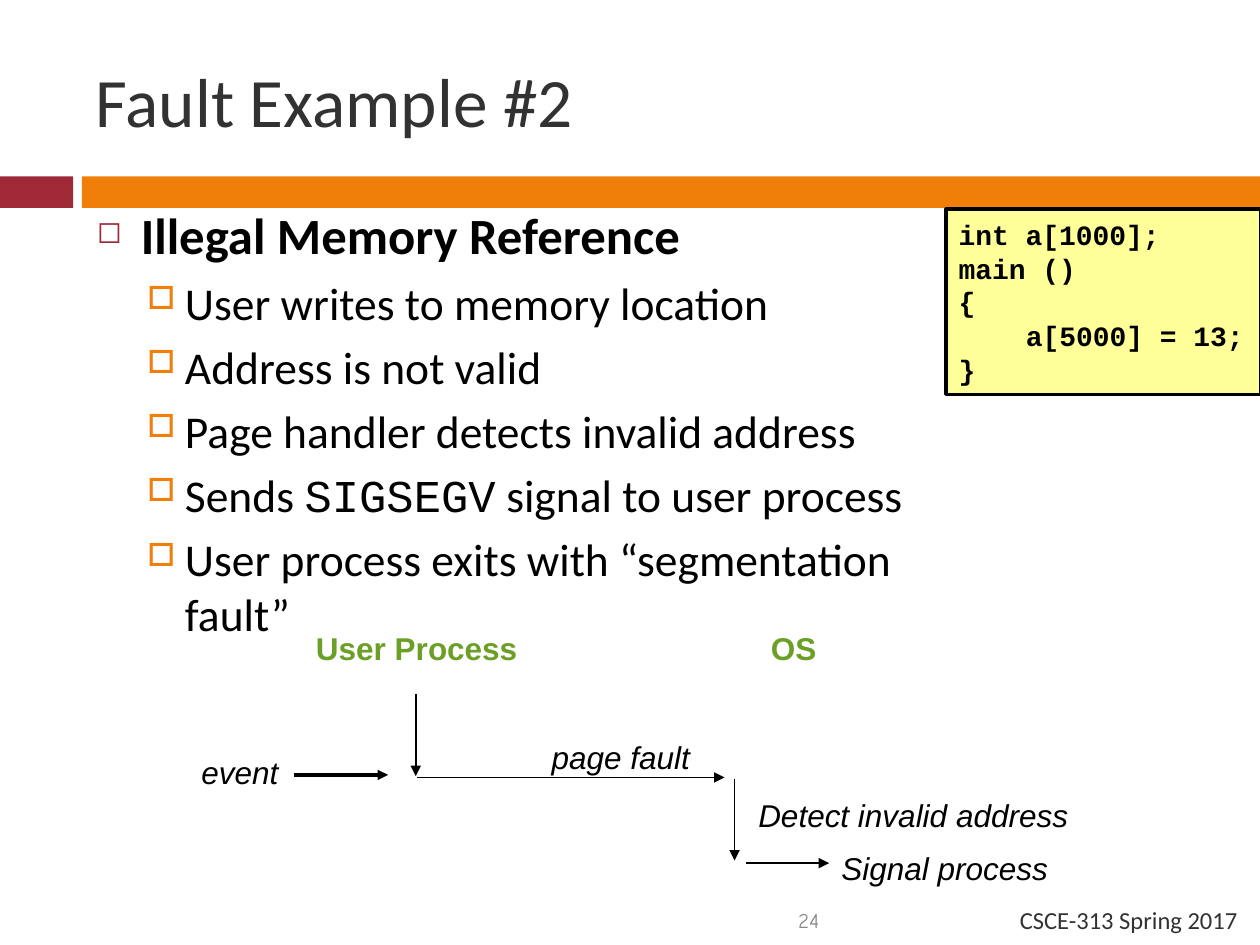
"""Build the slide on an illegal memory reference fault."""
from dataclasses import dataclass

from lxml import etree
from pptx import Presentation
from pptx import util as u
from pptx.dml.color import RGBColor
from pptx.enum import shapes, text
from pptx.oxml.ns import qn


@dataclass(frozen=True)
class Theme:
    ink: str = "000000"
    dark: str = "323232"
    grey: str = "898989"
    red: str = "9F2936"
    gold: str = "F07F09"
    green: str = "6B9F25"
    pale: str = "FFFF99"
    main: str = "Calibri"
    sans: str = "Arial"
    mono: str = "Courier New"
    hand: str = "Comic Neue"
    title: float = 39.6
    lead: float = 29
    point: float = 26
    label: float = 18
    code: float = 16
    foot: float = 14
    count: float = 12


T = Theme()
COLS, ROWS = 100, 75
TITLE = "Fault Example #2"
BARS = [((0, 14, 5.8, 2.5), T.red), ((6.5, 14, 93.5, 2.5), T.gold)]
LEAD = "Illegal Memory Reference"
POINTS = [
    [("User writes to memory location", T.main)],
    [("Address is not valid", T.main)],
    [("Page handler detects invalid address", T.main)],
    [("Sends ", T.main), ("SIGSEGV", T.mono), (" signal to user process", T.main)],
    [("User process exits with “segmentation fault”", T.main)],
]
CODE = [("int a[1000];", 0), ("main ()", 0), ("{", 0), ("a[5000] = 13;", 4), ("}", 0)]
HEADS = [("User Process", 24.1, 49.4, 18), ("OS", 60.2, 49.4, 5.6)]
NOTES = [
    ("page fault", 42.8, 58.1, 13),
    ("Detect invalid address", 59.2, 62.7, 27.6),
    ("event", 15, 59.3, 8.8),
    ("Signal process", 65.8, 66.9, 27.6),
]
ARROWS = [
    (33, 55.1, 33, 61.6, 1),
    (33.1, 61.7, 57.5, 61.7, 1),
    (58.3, 61.8, 58.3, 68.3, 1),
    (59.2, 68.5, 65.8, 68.5, 1),
    (23.3, 61.5, 30.8, 61.5, 2),
]
FEET = [
    ("CSCE-313 Spring 2017", (70, 71, 29.2, 4), T.main, T.foot, T.dark),
    ("24", (6.7, 71, 59.3, 4), T.hand, T.count, T.grey),
]

deck = Presentation()
deck.slide_width, deck.slide_height = u.Inches(10), u.Inches(7.5)
slide = deck.slides.add_slide(deck.slide_layouts[5])


def place(*cells):
    """Turn alternating columns and rows into slide lengths."""
    units = deck.slide_width / COLS, deck.slide_height / ROWS
    return [round(cell * units[n % 2]) for n, cell in enumerate(cells)]


def style(font, face, size, color, bold=False, slant=False):
    """Set the look of a font."""
    font.name, font.size = face, u.Pt(size)
    font.bold, font.italic = bold, slant
    font.color.rgb = RGBColor.from_string(color)


def write(area, words, *look, wrap=True, **more):
    """Add a one-line text box."""
    box = slide.shapes.add_textbox(*place(*area))
    frame = box.text_frame
    frame.word_wrap = wrap
    para = frame.paragraphs[0]
    para.text = words
    style(para.font, *look, **more)
    return frame, para


def panel(area, color):
    """Add a plain filled rectangle."""
    box = slide.shapes.add_shape(shapes.MSO_SHAPE.RECTANGLE, *place(*area))
    box.shadow.inherit = False
    box.fill.solid()
    box.fill.fore_color.rgb = RGBColor.from_string(color)
    box.line.fill.background()
    return box


def indent(para, left, hang=0):
    """Set the left margin and hanging indent in inches."""
    props = para._p.get_or_add_pPr()
    props.set("marL", str(u.Inches(left)))
    props.set("indent", str(-u.Inches(hang)))
    return props


def bullet(para, left, hang, gap, mark, color, share):
    """Give a paragraph a coloured bullet."""
    para.space_before = u.Pt(gap)
    props = indent(para, left, hang)
    tint = etree.SubElement(props, qn("a:buClr"))
    etree.SubElement(tint, qn("a:srgbClr"), val=color)
    etree.SubElement(props, qn("a:buSzPct"), val=str(share * 1000))
    etree.SubElement(props, qn("a:buChar"), char=mark)


def arrow(x1, y1, x2, y2, width):
    """Add a line with a triangle at its end."""
    link = slide.shapes.add_connector(
        shapes.MSO_CONNECTOR.STRAIGHT, *place(x1, y1, x2, y2))
    link.line.color.rgb = RGBColor.from_string(T.ink)
    link.line.width = u.Pt(width)
    etree.SubElement(link.line._get_or_add_ln(), qn("a:tailEnd"), type="triangle")
    etree.SubElement(link._element.spPr, qn("a:effectLst"))


for area, color in BARS:
    panel(area, color)

title = slide.shapes.title
title.left, title.top, title.width, title.height = place(6.6, 4.7, 52, 6.4)
title.text = TITLE
title.text_frame.vertical_anchor = text.MSO_ANCHOR.MIDDLE
head = title.text_frame.paragraphs[0]
head.alignment = text.PP_ALIGN.LEFT
style(head.font, T.main, T.title, T.dark)

for words, left, top, width in HEADS:
    write((left, top, width, 4), words, T.sans, T.label, T.green, bold=True, wrap=False)
for words, left, top, width in NOTES:
    write((left, top, width, 4), words, T.sans, T.label, T.ink, slant=True)
for line in ARROWS:
    arrow(*line)

body, lead = write((6.7, 15.7, 73.3, 39.9), LEAD, T.main, T.lead, T.ink, bold=True)
bullet(lead, 0.35, 0.35, 7, "◻", T.red, 60)
for parts in POINTS:
    para = body.add_paragraph()
    para.level = 1
    bullet(para, 0.7, 0.3, 5.5, "□", T.gold, 70)
    for words, face in parts:
        run = para.add_run()
        run.text = words
        style(run.font, face, T.point, T.ink)

code = panel((75.1, 16.6, 25, 14.7), T.pale)
code.line.color.rgb = RGBColor.from_string(T.ink)
code.line.width = u.Pt(2)
frame = code.text_frame
frame.word_wrap = False
for n, (words, depth) in enumerate(CODE):
    para = frame.add_paragraph() if n else frame.paragraphs[0]
    para.text = words
    para.alignment = text.PP_ALIGN.LEFT
    indent(para, depth * 0.6 * T.code / 72)
    style(para.font, T.mono, T.code, T.ink, bold=True)

for words, area, *look in FEET:
    frame, para = write(area, words, *look)
    frame.vertical_anchor = text.MSO_ANCHOR.MIDDLE
    para.alignment = text.PP_ALIGN.RIGHT

deck.save("out.pptx")
